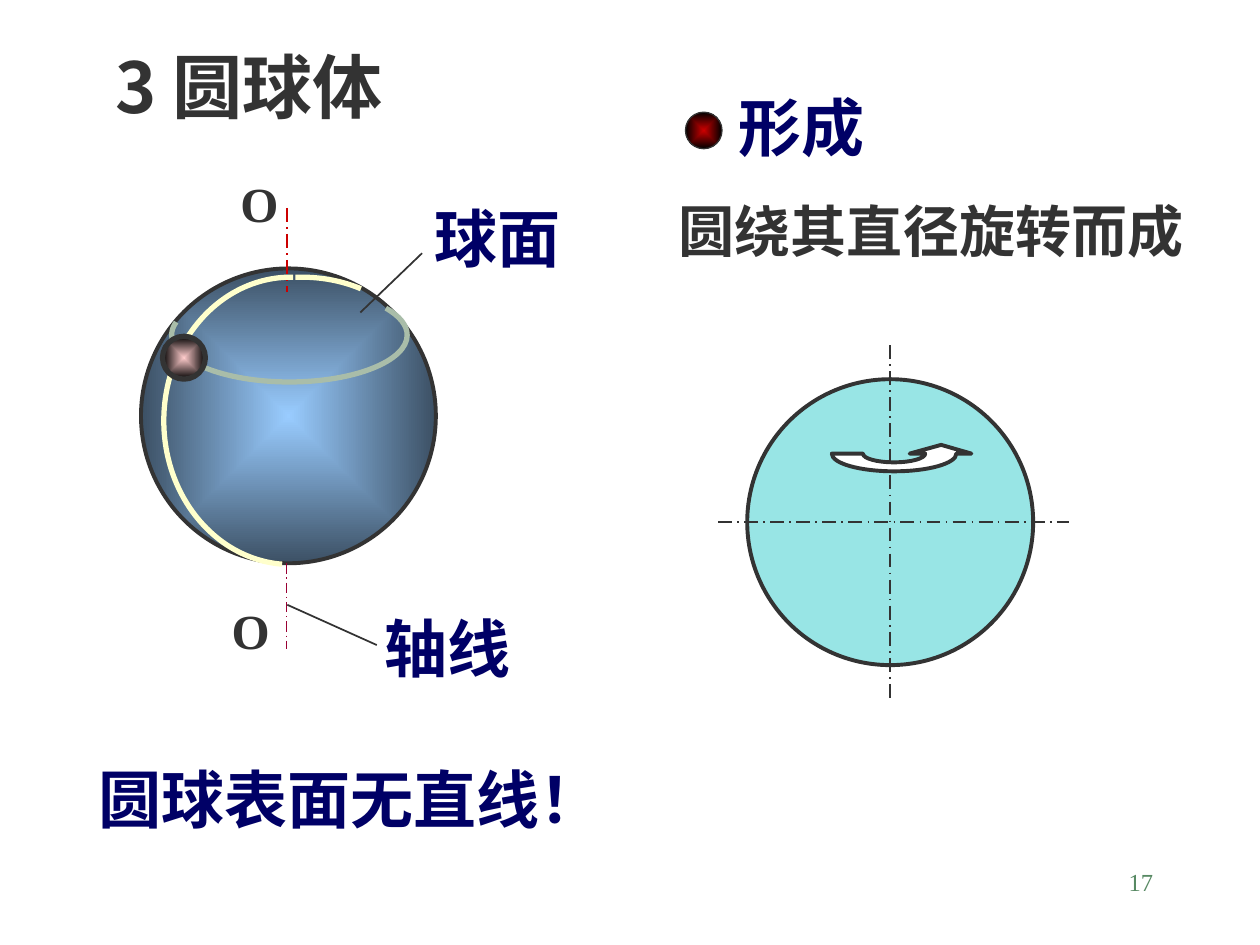
from math import ceil, cos, floor, radians, sin, tan

from lxml.etree import SubElement
from pptx import Presentation
from pptx.dml.color import RGBColor
from pptx.enum.dml import MSO_LINE
from pptx.enum.shapes import MSO_CONNECTOR, MSO_SHAPE
from pptx.enum.text import PP_ALIGN
from pptx.oxml.ns import qn
from pptx.util import Pt

INK = RGBColor(0x33, 0x33, 0x33)
NAVY = RGBColor(0x00, 0x00, 0x66)
GREEN = RGBColor(0x57, 0x89, 0x63)
RED = RGBColor(0xCC, 0x00, 0x00)
CRIMSON = RGBColor(0x99, 0x00, 0x33)
BLACK = RGBColor(0x00, 0x00, 0x00)
WHITE = RGBColor(0xFF, 0xFF, 0xFF)
SKY = RGBColor(0x99, 0xCC, 0xFF)
SLATE = RGBColor(0x3C, 0x50, 0x64)
PINK = RGBColor(0xFF, 0xCC, 0xCC)
TEAL = RGBColor(0x33, 0xCC, 0xCC)
SAGE = RGBColor(0xA9, 0xBD, 0xA9)
CREAM = RGBColor(0xFF, 0xFF, 0xCC)
SERIF = "Times New Roman"
SANS = "Noto Sans CJK SC"


def write(page, text, box, size=36, color=NAVY, font=SERIF, bold=True,
          align=PP_ALIGN.LEFT, wrap=True):
    """Add a one-line text box."""
    frame = page.shapes.add_textbox(*map(Pt, box)).text_frame
    frame.word_wrap = wrap
    para = frame.paragraphs[0]
    para.alignment = align
    span = para.add_run()
    span.text = text
    span.font.size = Pt(size)
    span.font.bold = bold
    span.font.color.rgb = color
    span.font.name = font
    SubElement(span.font._element, qn("a:ea")).set("typeface", SANS)


def draw_line(page, start, end, color=INK, width=1, dash=None):
    """Add a straight line without a shadow."""
    line = page.shapes.add_connector(
        MSO_CONNECTOR.STRAIGHT, *map(Pt, (*start, *end)))
    line.line.color.rgb = color
    line.line.width = Pt(width)
    if dash:
        line.line.dash_style = dash
    SubElement(line._element.spPr, qn("a:effectLst"))


def draw_disc(page, box, width):
    """Add an outlined ellipse and return it for filling."""
    disc = page.shapes.add_shape(MSO_SHAPE.OVAL, *map(Pt, box))
    disc.shadow.inherit = False
    disc.line.color.rgb = INK
    disc.line.width = Pt(width)
    return disc


def draw_ball(page, box, core, rim, width):
    """Add an ellipse shaded from its core to its rim."""
    fill = draw_disc(page, box, width).fill
    fill.gradient()
    for stop, color, position in zip(fill.gradient_stops, (core, rim), (0, 1)):
        stop.color.rgb = color
        stop.position = position
    gradient = fill._xPr.find(qn("a:gradFill"))
    gradient.remove(gradient.find(qn("a:lin")))
    shade = SubElement(gradient, qn("a:path"))
    shade.set("path", "shape")
    focus = SubElement(shade, qn("a:fillToRect"))
    for side in "ltrb":
        focus.set(side, "50000")


def arc_steps(center, radii, start, end):
    """Return the first point of an elliptic arc and its curves, by quadrant."""
    low, high = sorted((start, end))
    inner = [90 * i for i in range(floor(low / 90) + 1, ceil(high / 90))]
    knots = sorted([low, *inner, high], reverse=start > end)

    def point(angle, pull=0):
        across, down = cos(radians(angle)), sin(radians(angle))
        return (center[0] + radii[0] * (across - pull * down),
                center[1] + radii[1] * (down + pull * across))

    curves = []
    for first, last in zip(knots, knots[1:]):
        pull = 4 / 3 * tan(radians(last - first) / 4)
        curves.append((point(first, pull), point(last, -pull), point(last)))
    return point(start), curves


def draw_outline(page, start, steps, color, width, fill=None, height=None):
    """Add a freeform of lines (one point) and curves (three points)."""
    builder = page.shapes.build_freeform(*map(Pt, start))
    points = [(Pt(x), Pt(y)) for step in steps for x, y in step]
    builder.add_line_segments(points, close=fill is not None)
    outline = builder.convert_to_shape()
    route = next(outline._element.iter(qn("a:path")))
    segments = iter(route.findall(qn("a:lnTo")))
    for step in steps:
        parts = [next(segments) for _ in step]
        if len(parts) == 3:
            curve = SubElement(route, qn("a:cubicBezTo"))
            parts[0].addprevious(curve)
            for part in parts:
                curve.append(part[0])
                route.remove(part)
    if height:
        outline.height = Pt(height)
        route.set("h", str(Pt(height)))
    outline.shadow.inherit = False
    outline.line.color.rgb = color
    outline.line.width = Pt(width)
    if fill is None:
        outline.fill.background()
    else:
        outline.fill.solid()
        outline.fill.fore_color.rgb = fill


def add_sphere(page, box):
    """Draw the labelled sphere with its axis, circles and moving point."""
    left, top, width, height = box

    def at(x, y):
        return left + x, top + y

    draw_ball(page, box, SKY, SLATE, 2.25)
    axis = 83.6
    draw_line(page, at(axis, -34.6), at(axis, 13.6), RED, 1, MSO_LINE.LONG_DASH_DOT)
    draw_line(page, at(83.2, height), at(83.2, 217.4), CRIMSON, 0.75,
              MSO_LINE.LONG_DASH_DOT)
    for corner in (at(49.7, -57.6), at(44.7, 186.4)):
        write(page, "O", (*corner, 36, 41), size=28, color=INK, wrap=False)
    for color, center, radii, start, end, depth in (
            (SAGE, (84.8, 38.1), (67.3, 26.8), -35, 196, None),
            (CREAM, (85.7, 87.1), (72.7, 82.1), -89, -266, None),
            (CREAM, (92.2, 70.5), (76.3, 65.5), -64, -93, 65.5)):
        draw_outline(page, *arc_steps(at(*center), radii, start, end), color, 3,
                     height=depth)
    draw_ball(page, (*at(12.3, 38.8), 24.5, 24.5), PINK, BLACK, 3)
    draw_line(page, at(axis, 192.2), at(134.7, 215.2))
    draw_line(page, at(125.3, 25.2), at(160.6, -8.7))
    write(page, "轴线", (*at(131.8, 191.5), 129, 50.4))
    write(page, "球面", (*at(160.6, -43.2), 106.6, 50.4))


def add_circle(page, box):
    """Draw the flat circle with centre lines and a rotation arrow."""
    left, top, width, height = box
    disc = draw_disc(page, box, 2.25)
    disc.fill.solid()
    disc.fill.fore_color.rgb = TEAL
    tint = disc.fill._xPr.find(qn("a:solidFill"))[0]
    SubElement(tint, qn("a:alpha")).set("val", "50000")
    middle_x, middle_y = left + width / 2, top + height / 2
    draw_line(page, (middle_x, top - 19.4), (middle_x, top + height + 20.2),
              dash=MSO_LINE.LONG_DASH_DOT)
    draw_line(page, (left - 16.6, middle_y), (left + width + 20.2, middle_y),
              dash=MSO_LINE.LONG_DASH_DOT)
    x, y = left + 83.9, top + 42.5
    start, inner = arc_steps((x, y), (17.8, 5), 0, 180)
    corner, outer = arc_steps((x, y), (35.6, 10.1), 180, 0)
    tip = [((x + 44.2, y),), ((x + 26.9, y - 5),), ((x + 8.9, y),)]
    draw_outline(page, start, [*inner, (corner,), *outer, *tip], INK, 2.25,
                 fill=WHITE)


def add_formation(page, box):
    """Place the bulleted heading and the sentence under it."""
    left, top, width, height = box
    draw_ball(page, (left + 10.8, top + 17.3, 20.9, 20.9), RED, BLACK, 0.75)
    write(page, "形成", (left + 33.8, top, 153.4, 50.4))
    write(page, "圆绕其直径旋转而成", (left, top + height - 45.4, width, 45.4),
          size=32, color=INK)


def main():
    """Build the slide and save it."""
    deck = Presentation()
    deck.slide_width, deck.slide_height = Pt(720), Pt(540)
    page = deck.slides.add_slide(deck.slide_layouts[6])
    write(page, "3 圆球体", (59, 21.6, 199.4, 55.4), size=40, color=INK, font=SANS)
    add_sphere(page, (80.6, 153.4, 168.5, 168.5))
    add_formation(page, (380.9, 46.8, 327.6, 107.3))
    add_circle(page, (427, 216.7, 163.4, 163.4))
    write(page, "圆球表面无直线！", (49, 431.3, 325.4, 50.4))
    write(page, "17", (516.2, 491.8, 149.8, 36), size=14, color=GREEN,
          bold=False, align=PP_ALIGN.RIGHT)
    deck.save("out.pptx")


if __name__ == "__main__":
    main()
